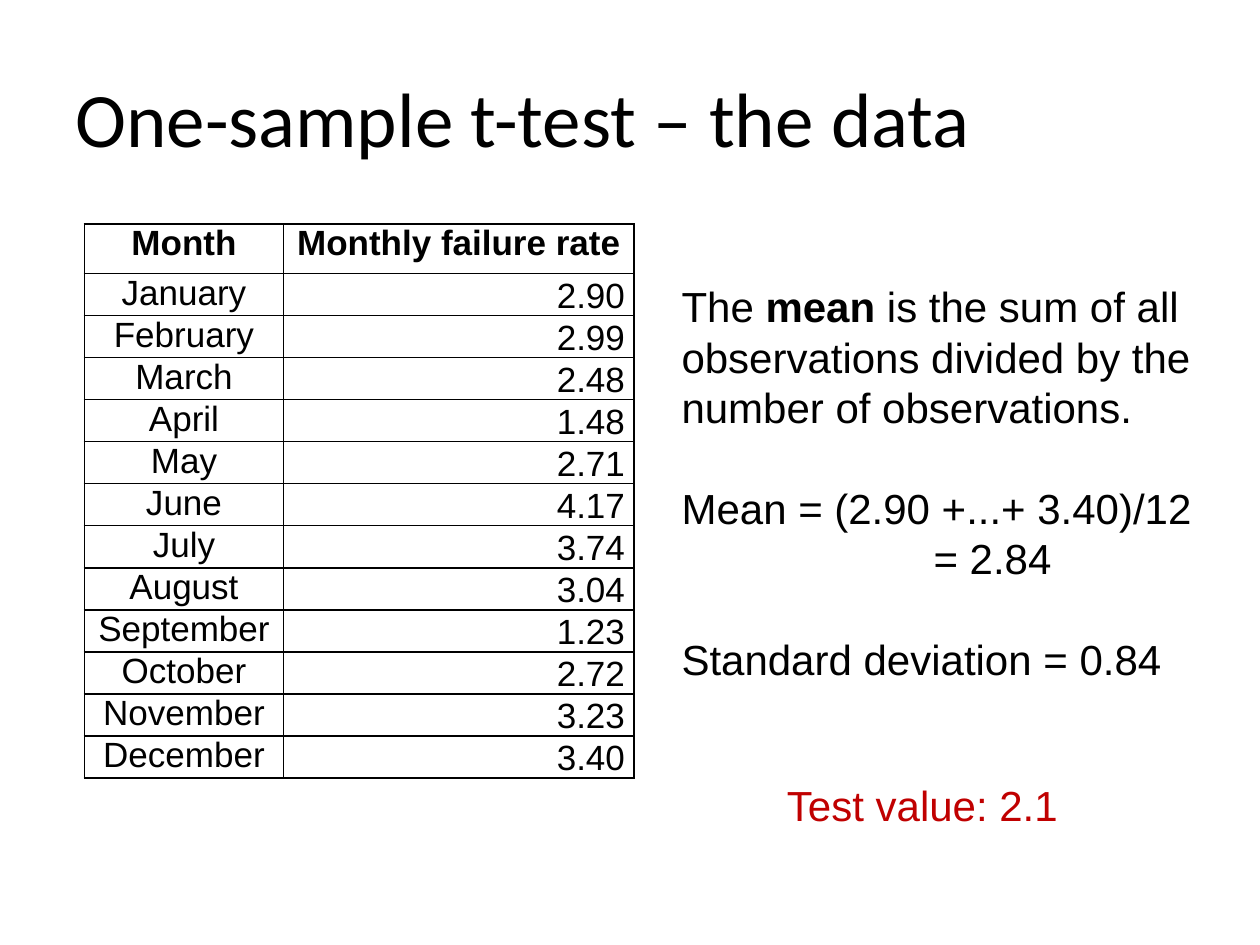
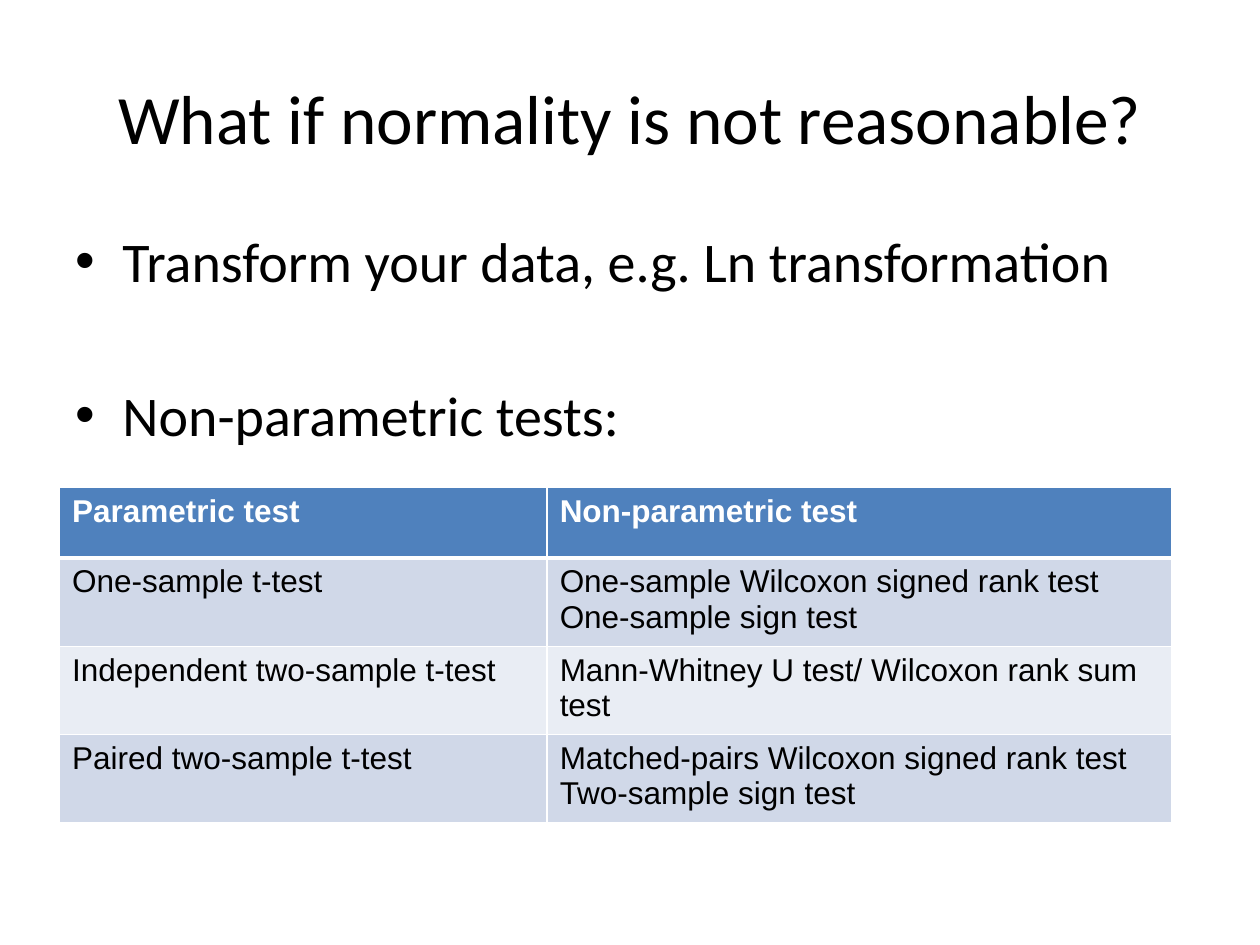
"""Build two slides on the one-sample t-test and its non-parametric kin."""
from lxml import etree
from pptx import Presentation
from pptx.dml.color import RGBColor
from pptx.enum.text import MSO_ANCHOR, PP_ALIGN
from pptx.oxml import parse_xml
from pptx.oxml.ns import nsdecls, qn
from pptx.util import Cm, Pt

LEFT, CENTER, RIGHT = PP_ALIGN.LEFT, PP_ALIGN.CENTER, PP_ALIGN.RIGHT
TOP, MIDDLE, BOTTOM = MSO_ANCHOR.TOP, MSO_ANCHOR.MIDDLE, MSO_ANCHOR.BOTTOM
COLORS = {"ink": "000000", "red": "C00000", "white": "FFFFFF",
          "head": "4F81BD", "dark": "D0D8E8", "light": "E9EDF4"}
BODY, HEADING = "Arial", "Calibri"
RATES = [("January", "2.90"), ("February", "2.99"), ("March", "2.48"),
         ("April", "1.48"), ("May", "2.71"), ("June", "4.17"),
         ("July", "3.74"), ("August", "3.04"), ("September", "1.23"),
         ("October", "2.72"), ("November", "3.23"), ("December", "3.40")]
TESTS = [("One-sample t-test",
          ["One-sample Wilcoxon signed rank test", "One-sample sign test"]),
         ("Independent two-sample t-test",
          ["Mann-Whitney U test/ Wilcoxon rank sum test"]),
         ("Paired two-sample t-test",
          ["Matched-pairs Wilcoxon signed rank test", "Two-sample sign test"])]


def write(frame, text, size=24, font=BODY, color="ink", bold=False,
          align=LEFT, before=0, line=None, indent=0, bullet=False):
    """Add a paragraph to a frame; words between asterisks turn bold."""
    para = frame.paragraphs[0] if not frame.text else frame.add_paragraph()
    para.alignment = align
    para.space_before = Pt(before)
    if line:
        para.line_spacing = Pt(line)
    props = para._p.get_or_add_pPr()
    props.set("marL", str(Cm(indent)))
    if bullet:
        props.set("indent", str(-Cm(indent)))
        etree.SubElement(props, qn("a:buFont")).set("typeface", BODY)
        etree.SubElement(props, qn("a:buChar")).set("char", "•")
    for index, part in enumerate(text.split("*")):
        run = para.add_run()
        run.text = part
        run.font.size = Pt(size)
        run.font.name = font
        run.font.bold = bold or index % 2 == 1
        run.font.color.rgb = RGBColor.from_string(COLORS[color])


def add_box(slide, left, top, width, height, anchor=TOP):
    """Add a wrapping text box and return its frame."""
    box = slide.shapes.add_textbox(Cm(left), Cm(top), Cm(width), Cm(height))
    frame = box.text_frame
    frame.word_wrap = True
    frame.vertical_anchor = anchor
    return frame


def add_title(slide, text, size, align):
    """Add the slide title in the shared place."""
    frame = add_box(slide, 1.27, 0.76, 22.86, 3.18, MIDDLE)
    write(frame, text, size=size, font=HEADING, align=align)


def add_grid(slide, left, top, cols, rows):
    """Add a table with the given column widths and row heights."""
    shape = slide.shapes.add_table(len(rows), len(cols), Cm(left), Cm(top),
                                   Cm(sum(cols)), Cm(sum(rows)))
    table = shape.table
    table.first_row = table.horz_banding = False
    for col, width in zip(table.columns, cols):
        col.width = Cm(width)
    for row, height in zip(table.rows, rows):
        row.height = Cm(height)
    return table


def set_border(cell, color, under=1):
    """Draw the four sides of a cell, the lower one in its own width."""
    props = cell._tc.get_or_add_tcPr()
    for index, (side, width) in enumerate(zip("LRTB", (1, 1, 1, under))):
        props.insert(index, parse_xml(
            f'<a:ln{side} {nsdecls("a")} w="{Pt(width)}"><a:solidFill>'
            f'<a:srgbClr val="{COLORS[color]}"/></a:solidFill></a:ln{side}>'))


def set_fill(cell, color):
    """Fill a cell with a named colour."""
    cell.fill.solid()
    cell.fill.fore_color.rgb = RGBColor.from_string(COLORS[color])


def add_rates(slide):
    """Add the table of monthly failure rates."""
    rows = [("Month", "Monthly failure rate")] + RATES
    table = add_grid(slide, 1.7, 4.52, [4.02, 7.06],
                     [0.99] + [0.79] * len(RATES))
    for y, row in enumerate(rows):
        for x, text in enumerate(row):
            cell = table.cell(y, x)
            value = y > 0 and x == 1
            cell.margin_left = cell.margin_right = Cm(0.18)
            cell.margin_top = cell.margin_bottom = 0
            cell.vertical_anchor = BOTTOM if value else TOP
            cell.fill.background()
            set_border(cell, "ink")
            write(cell.text_frame, text, size=20, bold=y == 0,
                  align=RIGHT if value else CENTER)


def add_tests(slide):
    """Add the table that pairs each test with its counterpart."""
    rows = [("Parametric test", ["Non-parametric test"])] + TESTS
    table = add_grid(slide, 1.2, 9.83, [9.83, 12.6],
                     [1.42] + [1.67] * len(TESTS))
    for y, (test, others) in enumerate(rows):
        head = y == 0
        fill = "head" if head else "dark" if y % 2 else "light"
        for x, lines in enumerate(([test], others)):
            cell = table.cell(y, x)
            set_fill(cell, fill)
            set_border(cell, "white", under=3 if head else 1)
            for text in lines:
                write(cell.text_frame, text, size=18, bold=head,
                      color="white" if head else "ink")


def add_data(slide):
    """Fill the slide that shows the data and its summary."""
    add_title(slide, "One-sample t-test – the data", 44, LEFT)
    add_rates(slide)
    frame = add_box(slide, 13.49, 5.54, 10.92, 9.25)
    pitch = 28.8
    for text, before, indent in [
            ("The *mean* is the sum of all observations divided by the "
             "number of observations.", 0, 0),
            ("Mean = (2.90 +...+ 3.40)/12", pitch, 0),
            ("= 2.84", 0, 5.08),
            ("Standard deviation = 0.84", pitch, 0)]:
        write(frame, text, before=before, line=pitch, indent=indent)
    note = add_box(slide, 15.09, 14.73, 7.01, 2.97, MIDDLE)
    write(note, "Test value: 2.1", color="red", align=CENTER)


def add_options(slide):
    """Fill the slide on what to do without normality."""
    add_title(slide, "What if normality is not reasonable?", 39.6, CENTER)
    frame = add_box(slide, 1.27, 4.45, 22.86, 5.2)
    for text, before in [("Transform your data, e.g. Ln transformation", 0),
                         ("Non-parametric tests:", 49.5)]:
        write(frame, text, size=32, font=HEADING, before=before,
              indent=0.95, bullet=True)
    add_tests(slide)


def main():
    """Build and save the slides."""
    deck = Presentation()
    deck.slide_width, deck.slide_height = Cm(25.4), Cm(19.05)
    for fill in (add_data, add_options):
        fill(deck.slides.add_slide(deck.slide_layouts[6]))
    deck.save("out.pptx")


if __name__ == "__main__":
    main()
